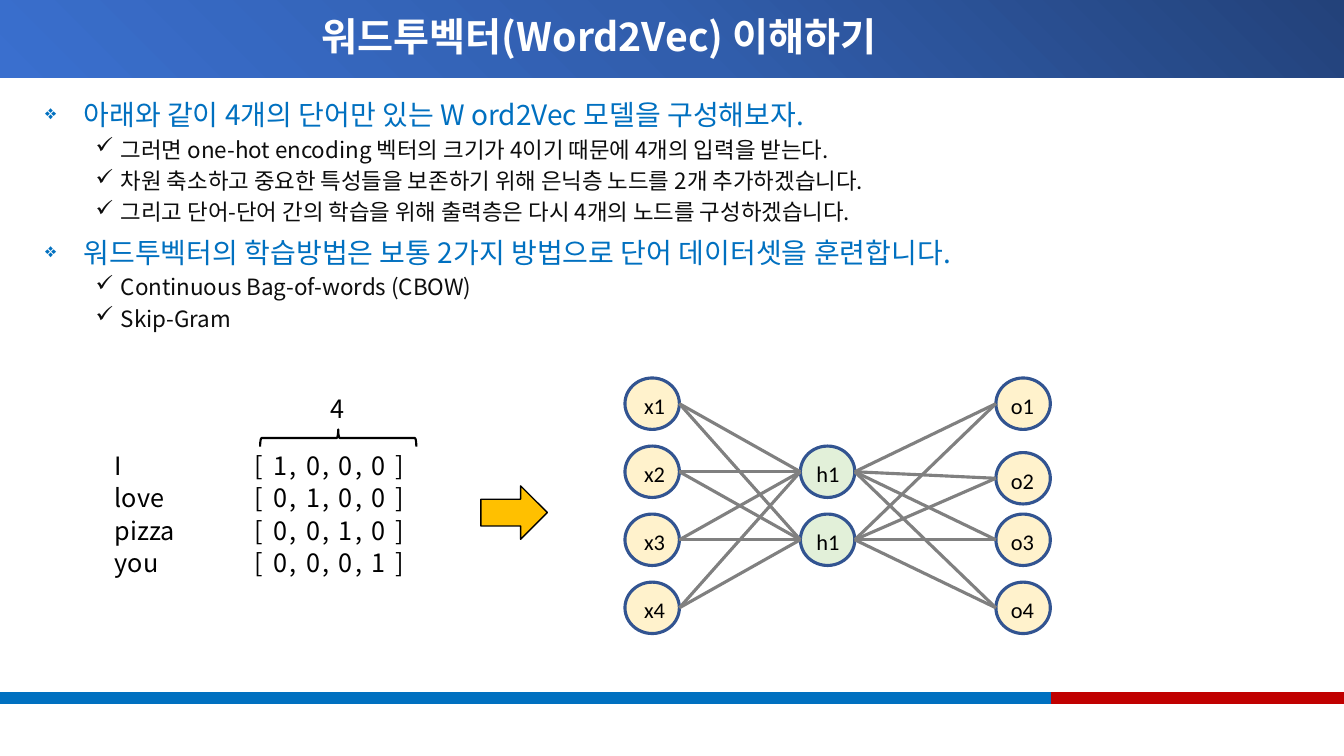
from dataclasses import dataclass
from itertools import chain, product

from lxml import etree
from pptx import Presentation, util as u
from pptx.dml.color import RGBColor
from pptx.enum import shapes, text
from pptx.oxml import parse_xml
from pptx.oxml.ns import qn

WHITE = RGBColor(0xFF, 0xFF, 0xFF)
BLACK = RGBColor(0, 0, 0)
BLUE = RGBColor(0x00, 0x70, 0xC0)
RED = RGBColor(0xC0, 0, 0)
INK = RGBColor(0x0D, 0x0D, 0x0D)
CREAM = RGBColor(0xFF, 0xF2, 0xCC)
MINT = RGBColor(0xE2, 0xF0, 0xD9)
NAVY = RGBColor(0x32, 0x54, 0x91)
GRAY = RGBColor(0x80, 0x80, 0x80)
AMBER = RGBColor(0xFF, 0xC0, 0)
BANNER_STOPS = ((0, RGBColor(0x23, 0x42, 0x7A)), (50, RGBColor(0x31, 0x5E, 0xAD)),
                (100, RGBColor(0x3A, 0x6F, 0xCE)))

KOREAN = "Noto Sans CJK KR"
LATIN = "Calibri"
SLIDE_WIDTH = u.Inches(13.33)
SLIDE_HEIGHT = u.Inches(7.5)
NODE_WIDTH, NODE_HEIGHT = 4.05, 6.8
BANNER_HEIGHT = 10.27
STRIPE_SPLIT = 78.23
NETWORK_ROWS = [53.4 + 9 * row for row in range(4)]
SECOND_OUTPUT_ROW = 63.27


@dataclass(frozen=True)
class Box:
    """Position and size in percent of the slide."""
    left: float
    top: float
    width: float
    height: float

    def emu(self) -> tuple:
        return across(self.left), down(self.top), across(self.width), down(self.height)


@dataclass(frozen=True)
class TextStyle:
    size: float
    color: RGBColor = BLACK
    font: str = KOREAN
    bold: bool = False
    tracking: int = 0


@dataclass(frozen=True)
class BulletLevel:
    bullet: str
    bullet_size: int
    margin: float
    hanging: float
    space_before: float
    style: TextStyle


@dataclass(frozen=True)
class Layer:
    left: float
    rows: list
    labels: list
    fill: RGBColor
    label_shift: float
    label_width: float


HEADING = BulletLevel("❖", 70, 0.38, 0.38, 10, TextStyle(20, BLUE))
DETAIL = BulletLevel("✓", 100, 0.75, 0.25, 5, TextStyle(16, INK))
BODY = [
    (HEADING, "아래와 같이 4개의 단어만 있는 W ord2Vec 모델을 구성해보자."),
    (DETAIL, "그러면 one-hot encoding 벡터의 크기가 4이기 때문에 4개의 입력을 받는다."),
    (DETAIL, "차원 축소하고 중요한 특성들을 보존하기 위해 은닉층 노드를 2개 추가하겠습니다."),
    (DETAIL, "그리고 단어-단어 간의 학습을 위해 출력층은 다시 4개의 노드를 구성하겠습니다."),
    (HEADING, "워드투벡터의 학습방법은 보통 2가지 방법으로 단어 데이터셋을 훈련합니다."),
    (DETAIL, "Continuous Bag-of-words (CBOW)"),
    (DETAIL, "Skip-Gram"),
]
WORDS = ["I", "love", "pizza", "you"]
INPUT = Layer(46.5, NETWORK_ROWS, ["x1", "x2", "x3", "x4"], CREAM, 0.68, 3.08)
HIDDEN = Layer(59.55, NETWORK_ROWS[1:3], ["h1", "h1"], MINT, 0.45, 3.3)
OUTPUT = Layer(74.1, [NETWORK_ROWS[0], SECOND_OUTPUT_ROW, *NETWORK_ROWS[2:]],
               ["o1", "o2", "o3", "o4"], CREAM, 0.38, 3.3)


def across(share: float) -> int:
    return round(SLIDE_WIDTH * share / 100)


def down(share: float) -> int:
    return round(SLIDE_HEIGHT * share / 100)


def add_run(paragraph, wording: str, style: TextStyle) -> None:
    run = paragraph.add_run()
    run.text = wording
    run.font.size = u.Pt(style.size)
    run.font.name = style.font
    run.font.bold = style.bold
    run.font.color.rgb = style.color
    properties = run.font._element
    etree.SubElement(properties, qn("a:ea"), typeface=style.font)
    if style.tracking:
        properties.set("spc", str(style.tracking))


def add_label(slide, box: Box, wording: str, style: TextStyle) -> None:
    frame = slide.shapes.add_textbox(*box.emu()).text_frame
    frame.word_wrap = False
    add_run(frame.paragraphs[0], wording, style)


def add_figure(slide, kind, box: Box, fill=None, line=None, line_width: float = 1):
    shape = slide.shapes.add_shape(kind, *box.emu())
    shape.shadow.inherit = False
    if fill is None:
        shape.fill.background()
    else:
        shape.fill.solid()
        shape.fill.fore_color.rgb = fill
    if line is None:
        shape.line.fill.background()
    else:
        shape.line.color.rgb = line
        shape.line.width = u.Pt(line_width)
    return shape


def add_banner(slide) -> None:
    banner = add_figure(slide, shapes.MSO_SHAPE.RECTANGLE, Box(0, 0, 100, BANNER_HEIGHT), BLUE)
    stops = "".join(f'<a:gs pos="{share * 1000}"><a:srgbClr val="{color}"/></a:gs>'
                    for share, color in BANNER_STOPS)
    gradient = parse_xml(
        '<a:gradFill xmlns:a="http://schemas.openxmlformats.org/drawingml/2006/main" '
        f'rotWithShape="1"><a:gsLst>{stops}</a:gsLst><a:path path="circle">'
        '<a:fillToRect l="100000" b="100000"/></a:path></a:gradFill>')
    properties = banner._element.spPr
    properties.replace(properties.find(qn("a:solidFill")), gradient)
    slide.shapes._spTree.insert(2, banner._element)


def add_title(slide) -> None:
    title = slide.shapes.title
    title.left, title.top, title.width, title.height = Box(3.22, 0, 82.73, BANNER_HEIGHT).emu()
    frame = title.text_frame
    frame.auto_size = text.MSO_AUTO_SIZE.NONE
    frame.vertical_anchor = text.MSO_ANCHOR.MIDDLE
    paragraph = frame.paragraphs[0]
    paragraph.alignment = text.PP_ALIGN.CENTER
    paragraph.line_spacing = 0.9
    add_run(paragraph, "워드투벡터(Word2Vec) 이해하기", TextStyle(28, WHITE, bold=True))


def add_body(slide) -> None:
    frame = slide.shapes.add_textbox(*Box(2.63, 12.8, 94.73, 36).emu()).text_frame
    frame.word_wrap = True
    for index, (level, wording) in enumerate(BODY):
        paragraph = frame.add_paragraph() if index else frame.paragraphs[0]
        properties = paragraph._p.get_or_add_pPr()
        properties.set("marL", str(u.Inches(level.margin)))
        properties.set("indent", str(-u.Inches(level.hanging)))
        etree.SubElement(properties, qn("a:buSzPct"), val=str(level.bullet_size * 1000))
        etree.SubElement(properties, qn("a:buChar"), char=level.bullet)
        paragraph.line_spacing = 0.9
        if index:
            paragraph.space_before = u.Pt(level.space_before)
        add_run(paragraph, wording, level.style)


def add_one_hot_table(slide) -> None:
    plain, spaced = TextStyle(18), TextStyle(18, tracking=150)
    for index, word in enumerate(WORDS):
        top = 58.93 + 4.27 * index
        vector = ", ".join(str(int(index == column)) for column in range(len(WORDS)))
        add_label(slide, Box(7.8, top, 6, 5.33), word, plain)
        add_label(slide, Box(18.23, top, 14.03, 5.33), f"[ {vector} ]", spaced)
    brace = add_figure(slide, shapes.MSO_SHAPE.RIGHT_BRACE, Box(24.53, 47.6, 1.28, 20.67),
                       line=BLACK, line_width=1.5)
    brace.rotation = 270
    add_label(slide, Box(23.85, 51.33, 2.7, 5.33), str(len(WORDS)), plain)


def add_layer(slide, layer: Layer) -> None:
    for center, wording in zip(layer.rows, layer.labels):
        node = Box(layer.left, center - NODE_HEIGHT / 2, NODE_WIDTH, NODE_HEIGHT)
        add_figure(slide, shapes.MSO_SHAPE.OVAL, node, layer.fill, NAVY, 2.25)
        label = Box(layer.left + layer.label_shift, center - 2.2, layer.label_width, 4.93)
        add_label(slide, label, wording, TextStyle(16, font=LATIN))


def connect_layers(slide, source: Layer, target: Layer) -> None:
    for start, end in product(source.rows, target.rows):
        connector = slide.shapes.add_connector(
            shapes.MSO_CONNECTOR.STRAIGHT, across(source.left + NODE_WIDTH), down(start),
            across(target.left), down(end))
        connector.line.color.rgb = GRAY
        connector.line.width = u.Pt(2.25)
        etree.SubElement(connector._element.spPr, qn("a:effectLst"))


def main() -> None:
    presentation = Presentation()
    presentation.slide_width, presentation.slide_height = SLIDE_WIDTH, SLIDE_HEIGHT
    slide = presentation.slides.add_slide(presentation.slide_layouts.get_by_name("Title Only"))
    add_banner(slide)
    for left, right, color in ((0, STRIPE_SPLIT, BLUE), (STRIPE_SPLIT, 100, RED)):
        stripe = Box(left, 91.6, right - left, 1.47)
        add_figure(slide, shapes.MSO_SHAPE.RECTANGLE, stripe, color, color)
    add_title(slide)
    add_body(slide)
    add_one_hot_table(slide)
    layers = [INPUT, HIDDEN, OUTPUT]
    for layer in layers:
        add_layer(slide, layer)
    for source, target in zip(layers, layers[1:]):
        connect_layers(slide, source, target)
    add_figure(slide, shapes.MSO_SHAPE.RIGHT_ARROW, Box(35.78, 64.27, 4.95, 7.07), AMBER, BLACK)
    presentation.save("out.pptx")


if __name__ == "__main__":
    main()
